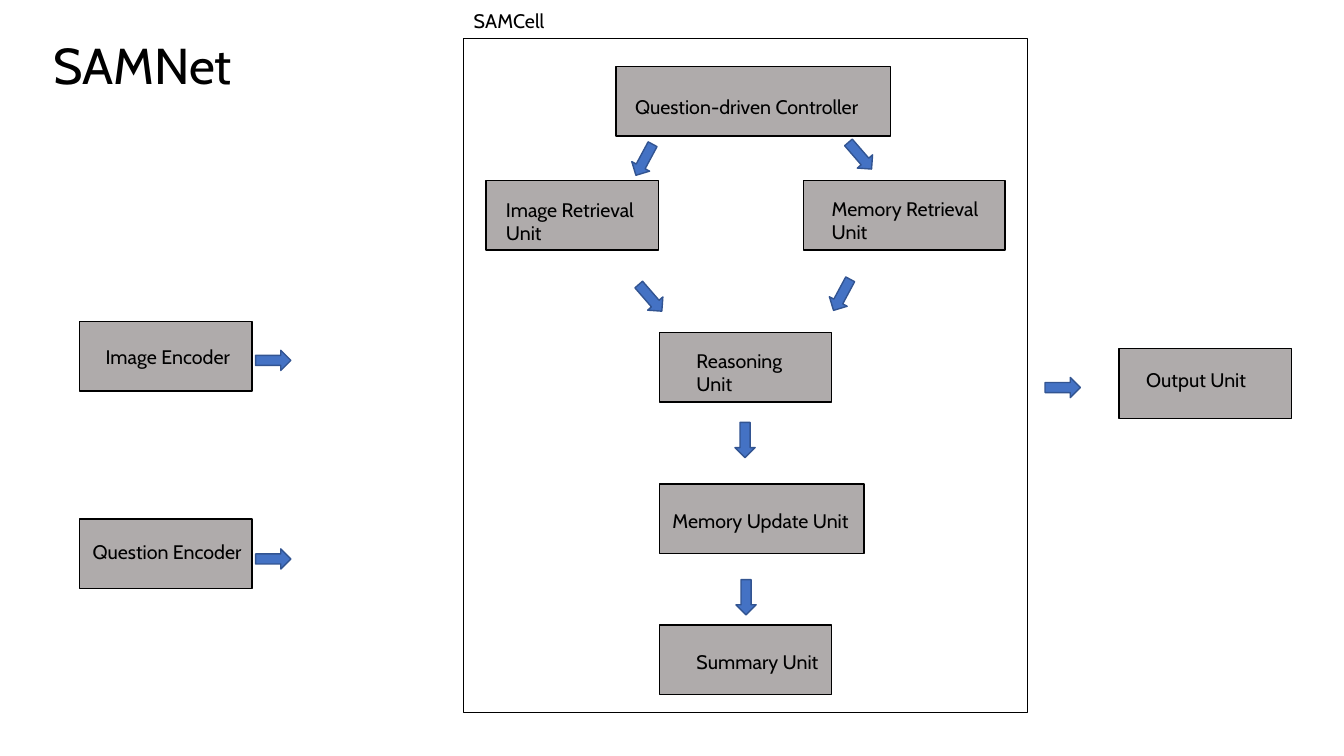
"""Build the SAMNet architecture slide."""
from dataclasses import dataclass

from pptx import Presentation
from pptx.dml.color import RGBColor
from pptx.enum import shapes, text
from pptx.util import Inches, Pt

COLORS = {
    "panel": "FFFFFF",
    "unit": "AFABAB",
    "ink": "000000",
    "arrow": "4472C4",
    "arrow_edge": "325491",
}
FONT = "Cabin"
UNIT_HEIGHT = 0.69
ARROW_WIDTH, ARROW_HEIGHT = 0.2, 0.35
RIGHT, DOWN, DOWN_LEFT, DOWN_RIGHT = 270, 0, 28.2, 319.1


@dataclass
class Label:
    wording: str
    left: float
    top: float
    width: float
    height: float = 0.34
    size: int = 14


@dataclass
class Unit:
    left: float
    top: float
    label: Label
    width: float = 1.71


@dataclass
class Arrow:
    left: float
    top: float
    rotation: float


HEADINGS = [
    Label("SAMNet", 0.43, 0.29, 2.04, 0.71, 36),
    Label("SAMCell ", 4.6, 0.04, 0.98),
]
UNITS = [
    Unit(6.11, 0.66, Label("Question-driven Controller", 6.2, 0.89, 2.55), 2.72),
    Unit(0.79, 3.19, Label("Image Encoder", 0.95, 3.37, 1.54)),
    Unit(0.79, 5.15, Label("Question Encoder", 0.82, 5.31, 1.77)),
    Unit(4.82, 1.79, Label("Image Retrieval\vUnit", 4.92, 1.91, 1.6, 0.57)),
    Unit(7.97, 1.79, Label("Memory Retrieval\vUnit", 8.15, 1.9, 1.75, 0.57), 2),
    Unit(6.54, 3.3, Label("Reasoning \vUnit", 6.81, 3.41, 1.17, 0.57)),
    Unit(6.54, 4.8, Label("Memory Update Unit", 6.57, 5, 2.02), 2.03),
    Unit(6.54, 6.2, Label("Summary Unit", 6.81, 6.4, 1.46)),
    Unit(11.1, 3.46, Label("Output Unit", 11.27, 3.6, 1.22)),
]
ARROWS = [
    Arrow(7.29, 4.19, DOWN),
    Arrow(7.3, 5.75, DOWN),
    Arrow(8.43, 1.37, DOWN_RIGHT),
    Arrow(6.35, 2.78, DOWN_RIGHT),
    Arrow(8.25, 2.75, DOWN_LEFT),
    Arrow(6.29, 1.41, DOWN_LEFT),
    Arrow(2.61, 3.4, RIGHT),
    Arrow(2.61, 5.37, RIGHT),
    Arrow(10.44, 3.67, RIGHT),
]


def color(name: str) -> RGBColor:
    return RGBColor.from_string(COLORS[name])


def add_block(slide, kind, left: float, top: float, width: float, height: float,
              fill: str, edge: str = "ink", rotation: float = 0) -> None:
    shape = slide.shapes.add_shape(
        kind, Inches(left), Inches(top), Inches(width), Inches(height))
    shape.shadow.inherit = False
    shape.fill.solid()
    shape.fill.fore_color.rgb = color(fill)
    shape.line.color.rgb = color(edge)
    shape.line.width = Pt(1)
    shape.rotation = rotation


def add_label(slide, label: Label) -> None:
    box = slide.shapes.add_textbox(Inches(label.left), Inches(label.top),
                                   Inches(label.width), Inches(label.height))
    frame = box.text_frame
    frame.word_wrap = False
    frame.auto_size = text.MSO_AUTO_SIZE.SHAPE_TO_FIT_TEXT
    paragraph = frame.paragraphs[0]
    paragraph.text = label.wording
    for run in paragraph.runs:
        run.font.name = FONT
        run.font.size = Pt(label.size)
        run.font.color.rgb = color("ink")


def add_unit(slide, unit: Unit) -> None:
    add_block(slide, shapes.MSO_SHAPE.RECTANGLE,
              unit.left, unit.top, unit.width, UNIT_HEIGHT, "unit")
    add_label(slide, unit.label)


def add_arrow(slide, arrow: Arrow) -> None:
    add_block(slide, shapes.MSO_SHAPE.DOWN_ARROW, arrow.left, arrow.top,
              ARROW_WIDTH, ARROW_HEIGHT, "arrow", "arrow_edge", arrow.rotation)


def main() -> None:
    presentation = Presentation()
    presentation.slide_width = Inches(13.33)
    presentation.slide_height = Inches(7.5)
    slide = presentation.slides.add_slide(presentation.slide_layouts[6])
    add_block(slide, shapes.MSO_SHAPE.RECTANGLE, 4.6, 0.38, 5.59, 6.69, "panel")
    for heading in HEADINGS:
        add_label(slide, heading)
    for unit in UNITS:
        add_unit(slide, unit)
    for arrow in ARROWS:
        add_arrow(slide, arrow)
    presentation.save("out.pptx")


main()
